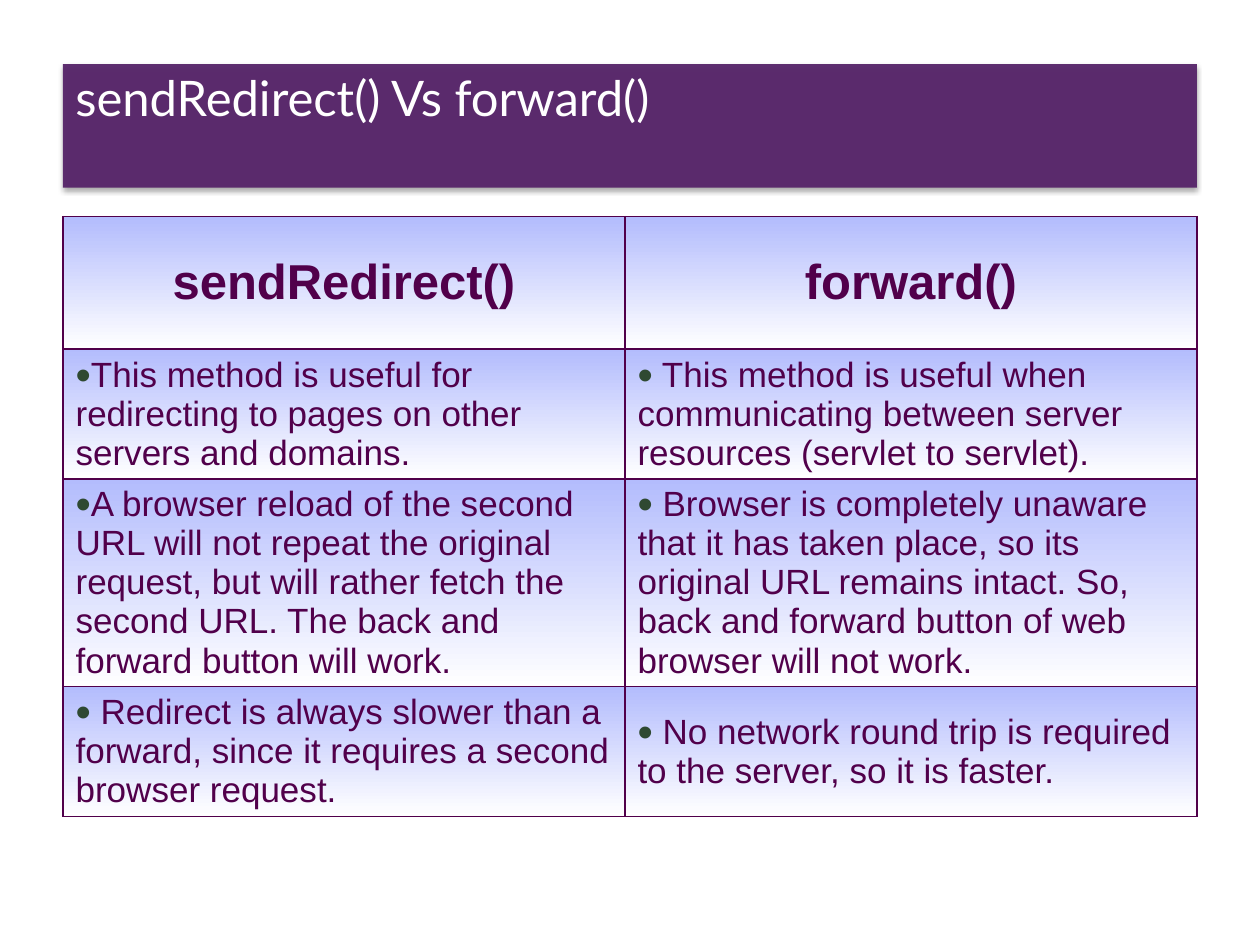
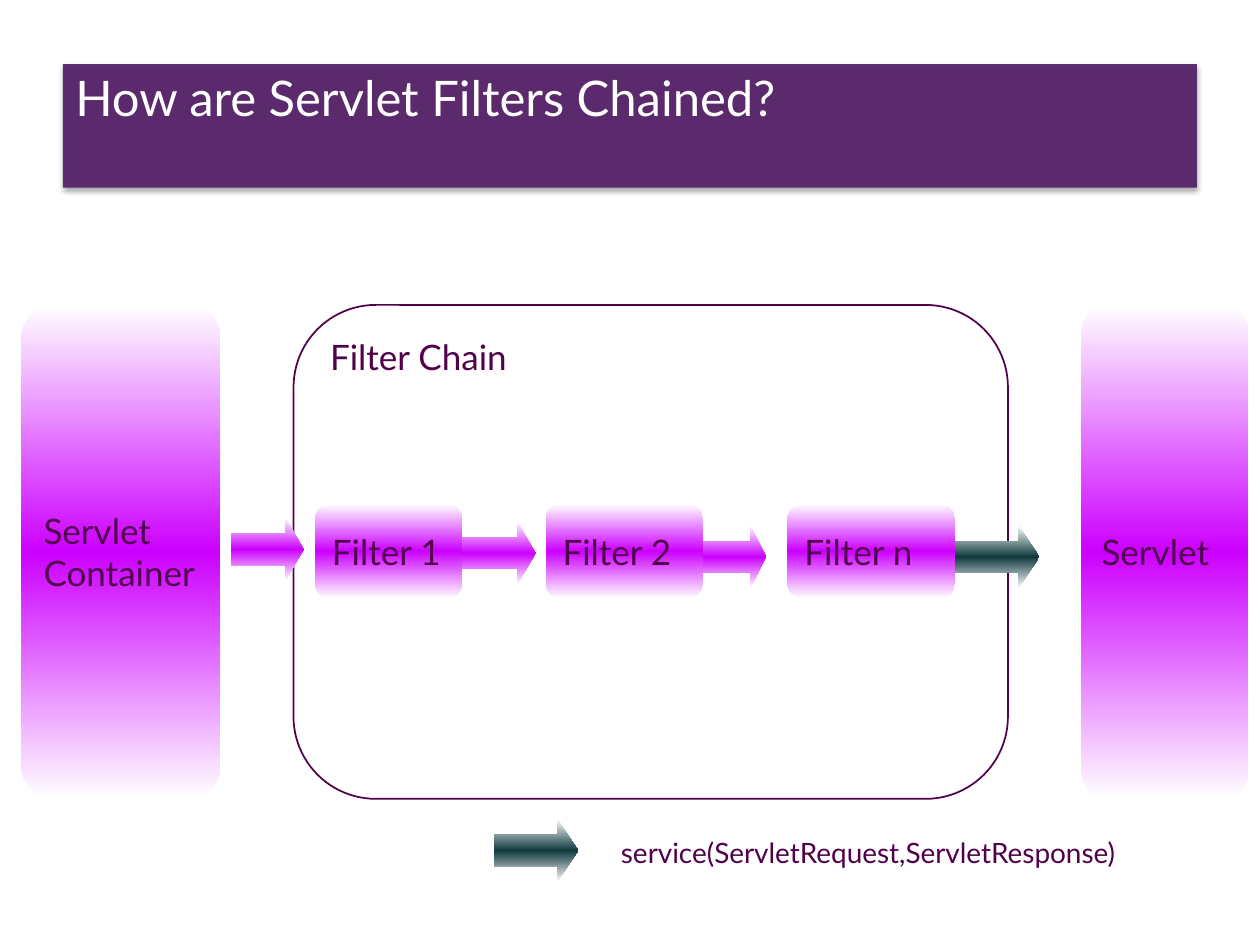
"""Build two slides that compare servlet redirects and show a filter chain."""
from dataclasses import dataclass

from lxml import etree
from pptx import Presentation
from pptx.dml.color import RGBColor
from pptx.enum.shapes import MSO_CONNECTOR, MSO_SHAPE
from pptx.enum.text import MSO_ANCHOR, PP_ALIGN
from pptx.oxml.ns import qn
from pptx.util import Inches, Pt

RECT, ROUND, ARROW = MSO_SHAPE.RECTANGLE, MSO_SHAPE.ROUNDED_RECTANGLE, MSO_SHAPE.RIGHT_ARROW
STRAIGHT = MSO_CONNECTOR.STRAIGHT
TOP, MIDDLE = MSO_ANCHOR.TOP, MSO_ANCHOR.MIDDLE
LEFT, CENTER = PP_ALIGN.LEFT, PP_ALIGN.CENTER

PLUM, BAND, WHITE, GREEN = "51004B", "562469", "FFFFFF", "2F4932"
SKY = ("B3BCFD", WHITE)
PINK = (WHITE, "CC00FF", WHITE)
TEAL = (WHITE, "10393E", WHITE)
SANS, LATO = "Arial", "Lato"
BLOCK_TOP, BLOCK_TALL = 2.42, 3.92
STEP_TOP, STEP_TALL = 4, 0.75
ARROW_TALL = 0.5

COLUMNS = (4.46, 4.54)
ROWS = (1.05, 0.78, 1.07, 0.77)
TABLE = (
    ("sendRedirect()", "forward()"),
    ("This method is useful for redirecting to pages on other servers and domains.",
     " This method is useful when communicating between server resources (servlet to servlet)."),
    ("A browser reload of the second URL will not repeat the original request, but will "
     "rather fetch the second URL. The back and forward button will work.",
     " Browser is completely unaware that it has taken place, so its original URL remains "
     "intact. So, back and forward button of web browser will not work."),
    (" Redirect is always slower than a forward, since it requires a second browser request.",
     " No network round trip is required to the server, so it is faster."),
)


@dataclass
class Block:
    """A rounded box with a label."""
    text: str
    left: float
    wide: float
    top: float = BLOCK_TOP
    tall: float = BLOCK_TALL
    fill: tuple = PINK
    anchor: MSO_ANCHOR = MIDDLE


@dataclass
class Arrow:
    """A block arrow that points right."""
    left: float
    top: float
    wide: float
    fill: tuple = PINK


BLOCKS = (
    Block("Servlet Container", 0.17, 1.58),
    Block("Filter Chain", 2.33, 5.67, fill=(), anchor=TOP),
    Block("Filter 1", 2.5, 1.17, STEP_TOP, STEP_TALL),
    Block("Filter 2", 4.33, 1.25, STEP_TOP, STEP_TALL),
    Block("Filter n", 6.25, 1.33, STEP_TOP, STEP_TALL),
    Block("Servlet", 8.58, 1.33),
)
ARROWS = (
    Arrow(3.67, 4.14, 0.58),
    Arrow(5.58, 4.17, 0.5),
    Arrow(7.58, 4.17, 0.67, TEAL),
    Arrow(1.83, 4.11, 0.58),
    Arrow(3.92, 6.5, 0.67, TEAL),
)


def color(code: str) -> RGBColor:
    """Turn a hex string into a colour."""
    return RGBColor.from_string(code)


def add(parent, tag: str, **attrs):
    """Append an XML element with the given attributes."""
    return etree.SubElement(parent, qn(tag), {key: str(val) for key, val in attrs.items()})


def write(frame, text: str, *, size: float = 20, font: str = LATO, ink: str = PLUM,
          bold: bool = False, align=LEFT, anchor=TOP, spacing: float = 1.0,
          bullet: bool = False) -> None:
    """Put one formatted paragraph in a text frame."""
    frame.word_wrap = True
    frame.vertical_anchor = anchor
    para = frame.paragraphs[0]
    para.alignment = align
    para.line_spacing = spacing
    if bullet:
        props = para._p.get_or_add_pPr()
        props.set("marL", "0")
        props.set("indent", "0")
        add(add(props, "a:buClr"), "a:srgbClr", val=GREEN)
        add(props, "a:buSzPct", val=125000)
        add(props, "a:buFont", typeface=SANS)
        add(props, "a:buChar", char="•")
    run = para.add_run()
    run.text = text
    run.font.size = Pt(size)
    run.font.name = font
    run.font.bold = bold
    run.font.color.rgb = color(ink)


def blend(fill, root, codes: tuple) -> None:
    """Fill with evenly spaced stops from top to bottom."""
    fill.gradient()
    fill.gradient_angle = 270
    stops = next(root.iter(qn("a:gsLst")))
    for stop in list(stops):
        stops.remove(stop)
    for num, code in enumerate(codes):
        stop = add(stops, "a:gs", pos=100000 * num // (len(codes) - 1))
        add(stop, "a:srgbClr", val=code)


def draw(slide, kind, left: float, top: float, wide: float, tall: float, fill: tuple = ()):
    """Add a shape with a gradient, or an outline if it has no fill."""
    shape = slide.shapes.add_shape(kind, Inches(left), Inches(top), Inches(wide), Inches(tall))
    shape.shadow.inherit = False
    if fill:
        blend(shape.fill, shape._element.spPr, fill)
        shape.line.fill.background()
    else:
        shape.fill.background()
        shape.line.color.rgb = color(PLUM)
        shape.line.width = Pt(1)
    return shape


def start(deck, title: str):
    """Add a blank slide with its title band."""
    slide = deck.slides.add_slide(deck.slide_layouts[6])
    band = draw(slide, RECT, 0.5, 0.51, 9, 0.98)
    band.fill.solid()
    band.fill.fore_color.rgb = color(BAND)
    band.line.fill.background()
    props = band._element.spPr
    add(next(props.iter(qn("a:srgbClr"))), "a:alpha", val=95000)
    shade = add(props.find(qn("a:effectLst")), "a:outerShdw", blurRad=Inches(0.04),
                dist=Inches(0.02), dir=5400000, rotWithShape=0)
    add(add(shade, "a:srgbClr", val="000000"), "a:alpha", val=35000)
    band.text_frame.margin_top = 0
    write(band.text_frame, title, size=28, ink=WHITE, spacing=1.05)
    return slide


def border(cell) -> None:
    """Draw a thin line on all four sides of a cell."""
    props = cell._tc.get_or_add_tcPr()
    for num, side in enumerate("LRTB"):
        line = add(props, f"a:ln{side}", w=Pt(1))
        add(add(line, "a:solidFill"), "a:srgbClr", val=PLUM)
        props.insert(num, line)


def compare(deck) -> None:
    """Build the slide with the two-column table."""
    slide = start(deck, "sendRedirect() Vs forward()")
    grid = slide.shapes.add_table(len(ROWS), len(COLUMNS), Inches(0.5), Inches(1.72),
                                  Inches(sum(COLUMNS)), Inches(sum(ROWS))).table
    grid.first_row = grid.horz_banding = False
    for col, wide in zip(grid.columns, COLUMNS):
        col.width = Inches(wide)
    for num, (row, tall) in enumerate(zip(grid.rows, ROWS)):
        row.height = Inches(tall)
        head = num == 0
        for cell, text in zip(row.cells, TABLE[num]):
            blend(cell.fill, cell._tc, SKY)
            border(cell)
            cell.vertical_anchor = MIDDLE
            write(cell.text_frame, text, size=28 if head else 20, font=SANS, bold=head,
                  align=CENTER if head else LEFT, anchor=None, bullet=not head)


def chain(deck) -> None:
    """Build the slide with the filter chain."""
    slide = start(deck, "How are Servlet Filters Chained?")
    for block in BLOCKS:
        shape = draw(slide, ROUND, block.left, block.top, block.wide, block.tall, block.fill)
        write(shape.text_frame, block.text, anchor=block.anchor)
    edge = slide.shapes.add_connector(STRAIGHT, Inches(2.33), Inches(4.17),
                                      Inches(2.33), Inches(4.58))
    edge.line.color.rgb = color(PLUM)
    edge.line.width = Pt(1)
    add(edge._element.spPr, "a:effectLst")
    for arrow in ARROWS:
        shape = draw(slide, ARROW, arrow.left, arrow.top, arrow.wide, ARROW_TALL, arrow.fill)
        shape.adjustments[1] = arrow.wide / 4 / ARROW_TALL
    label = slide.shapes.add_textbox(Inches(4.83), Inches(6.58), Inches(4.67), Inches(0.37))
    write(label.text_frame, "service(ServletRequest,ServletResponse)", size=16)


def main() -> None:
    """Build and save the deck."""
    deck = Presentation()
    deck.slide_width, deck.slide_height = Inches(10), Inches(7.5)
    compare(deck)
    chain(deck)
    deck.save("out.pptx")


if __name__ == "__main__":
    main()
